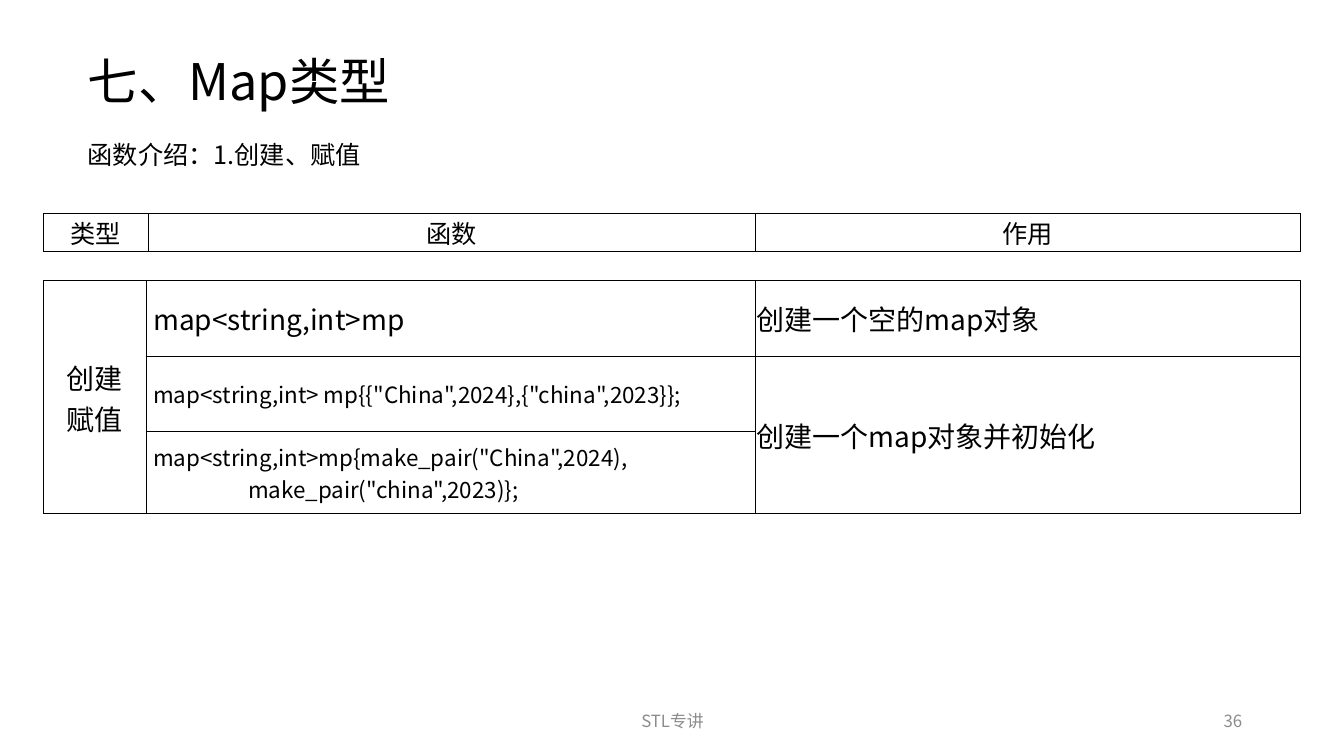
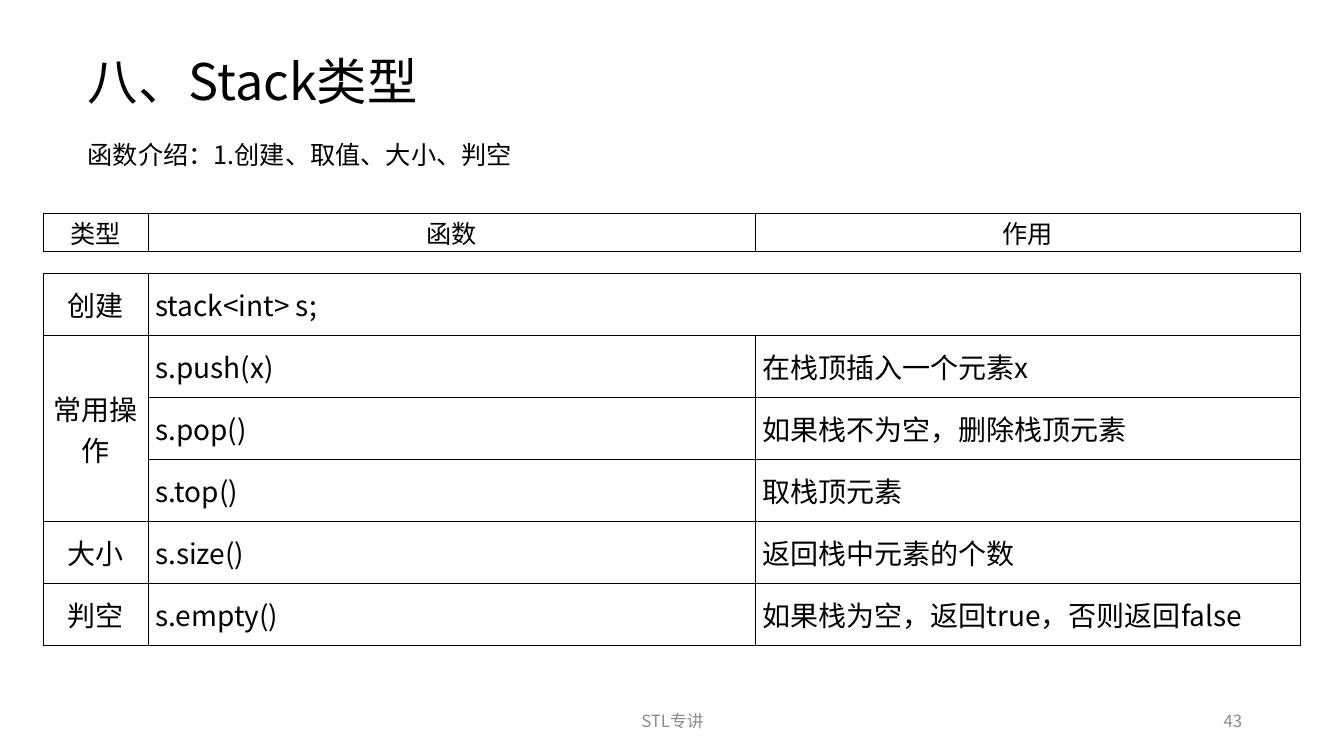
"""Build two slides of function tables for the STL map and stack types."""
from lxml import etree
from pptx import Presentation
from pptx.dml.color import RGBColor
from pptx.enum.text import MSO_ANCHOR, MSO_AUTO_SIZE, PP_ALIGN
from pptx.oxml.ns import qn
from pptx.util import Inches, Pt

BLACK = RGBColor(0x00, 0x00, 0x00)
GRAY = RGBColor(0x8C, 0x8C, 0x8C)
FONT = "Noto Sans CJK SC"
LEFT, CENTER, RIGHT = PP_ALIGN.LEFT, PP_ALIGN.CENTER, PP_ALIGN.RIGHT
TOP, MIDDLE = MSO_ANCHOR.TOP, MSO_ANCHOR.MIDDLE
NO_FIT = MSO_AUTO_SIZE.NONE
TABLE_LEFT = 0.43
COLS = [1.04, 6.02, 5.41]
HEADER = [(0, 0, "类型", 18), (0, 1, "函数", 18), (0, 2, "作用", 18)]

SLIDES = [
    {
        "title": "七、Map类型",
        "subtitle": "函数介绍：1.创建、赋值",
        "number": "36",
        "top": 2.78,
        "cols": [1.02, 6.04, 5.41],
        "rows": [0.75, 0.75, 0.61],
        "indents": [0.01, 0.07, 0.01],
        "merges": [(0, 0, 2, 0), (1, 2, 2, 2)],
        "cells": [
            (0, 0, "创建\n赋值", 20),
            (0, 1, "map<string,int>mp", 20),
            (0, 2, "创建一个空的map对象", 20),
            (1, 1, 'map<string,int> mp{{"China",2024},{"china",2023}};', 16),
            (1, 2, "创建一个map对象并初始化", 20),
            (2, 1, 'map<string,int>mp{make_pair("China",2024),\n'
                   '                   make_pair("china",2023)};', 16),
        ],
    },
    {
        "title": "八、Stack类型",
        "subtitle": "函数介绍：1.创建、取值、大小、判空",
        "number": "43",
        "top": 2.71,
        "cols": COLS,
        "rows": [0.615] * 6,
        "indents": [0.01, 0.07, 0.07],
        "merges": [(0, 1, 0, 2), (1, 0, 3, 0)],
        "cells": [
            (0, 0, "创建", 20),
            (0, 1, "stack<int> s;", 20),
            (1, 0, "常用操作", 20),
            (1, 1, "s.push(x)", 20),
            (1, 2, "在栈顶插入一个元素x", 20),
            (2, 1, "s.pop()", 20),
            (2, 2, "如果栈不为空，删除栈顶元素", 20),
            (3, 1, "s.top()", 20),
            (3, 2, "取栈顶元素", 20),
            (4, 0, "大小", 20),
            (4, 1, "s.size()", 20),
            (4, 2, "返回栈中元素的个数", 20),
            (5, 0, "判空", 20),
            (5, 1, "s.empty()", 20),
            (5, 2, "如果栈为空，返回true，否则返回false", 20),
        ],
    },
]


def set_text(tf, text, size, color, align, anchor):
    """Fill a text frame and format all of its paragraphs."""
    tf.text = text
    tf.word_wrap = True
    tf.vertical_anchor = anchor
    for p in tf.paragraphs:
        p.alignment = align
        p.space_before = Pt(0)
        for r in p.runs:
            r.font.size = Pt(size)
            r.font.color.rgb = color
            r.font.name = FONT
            ea = etree.SubElement(r.font._element, qn("a:ea"))
            ea.set("typeface", FONT)


def add_grid(slide, top, cols, rows, indents, merges, cells):
    """Add an unfilled table with thin black borders."""
    table = slide.shapes.add_table(
        len(rows), len(cols), Inches(TABLE_LEFT), Inches(top),
        Inches(sum(cols)), Inches(sum(rows))).table
    table.first_row = table.horz_banding = False
    for column, width in zip(table.columns, cols):
        column.width = Inches(width)
    for row, height in zip(table.rows, rows):
        row.height = Inches(height)
    for cell in table.iter_cells():
        cell.fill.background()
        cell.margin_right = cell.margin_top = Inches(0.01)
        cell.margin_bottom = 0
        tcPr = cell._tc.get_or_add_tcPr()
        for i, side in enumerate(("a:lnL", "a:lnR", "a:lnT", "a:lnB")):
            ln = etree.Element(qn(side), w=str(Pt(0.5)))
            fill = etree.SubElement(ln, qn("a:solidFill"))
            etree.SubElement(fill, qn("a:srgbClr"), val=str(BLACK))
            tcPr.insert(i, ln)
    for r1, c1, r2, c2 in merges:
        table.cell(r1, c1).merge(table.cell(r2, c2))
    for row, col, text, size in cells:
        cell = table.cell(row, col)
        cell.margin_left = Inches(indents[col])
        align = CENTER if col == 0 or cells is HEADER else LEFT
        set_text(cell.text_frame, text, size, BLACK, align, MIDDLE)
        cell.vertical_anchor = MIDDLE


prs = Presentation()
prs.slide_width = Inches(13.33)
prs.slide_height = Inches(7.5)

for data in SLIDES:
    slide = prs.slides.add_slide(prs.slide_layouts[1])
    title, subtitle = slide.shapes.title, slide.placeholders[1]
    footer = slide.shapes.add_textbox(0, 0, 0, 0)
    number = slide.shapes.add_textbox(0, 0, 0, 0)
    for sp, text, box, size, color, align, anchor in (
        (title, data["title"], (0.77, 0.45, 7.34, 0.71), 36, BLACK, LEFT, TOP),
        (subtitle, data["subtitle"], (0.77, 1.33, 5.4, 0.4), 18, BLACK, LEFT, TOP),
        (footer, "STL专讲", (4.42, 6.95, 4.5, 0.4), 12, GRAY, CENTER, MIDDLE),
        (number, data["number"], (9.42, 6.95, 3, 0.4), 12, GRAY, RIGHT, MIDDLE),
    ):
        sp.left, sp.top, sp.width, sp.height = map(Inches, box)
        set_text(sp.text_frame, text, size, color, align, anchor)
        sp.text_frame.auto_size = NO_FIT
    pPr = subtitle.text_frame.paragraphs[0]._p.get_or_add_pPr()
    pPr.set("marL", "0")
    pPr.set("indent", "0")
    etree.SubElement(pPr, qn("a:buNone"))

    add_grid(slide, 2.12, COLS, [0.32], [0.01] * 3, [], HEADER)
    add_grid(slide, data["top"], data["cols"], data["rows"],
             data["indents"], data["merges"], data["cells"])

prs.save("out.pptx")
